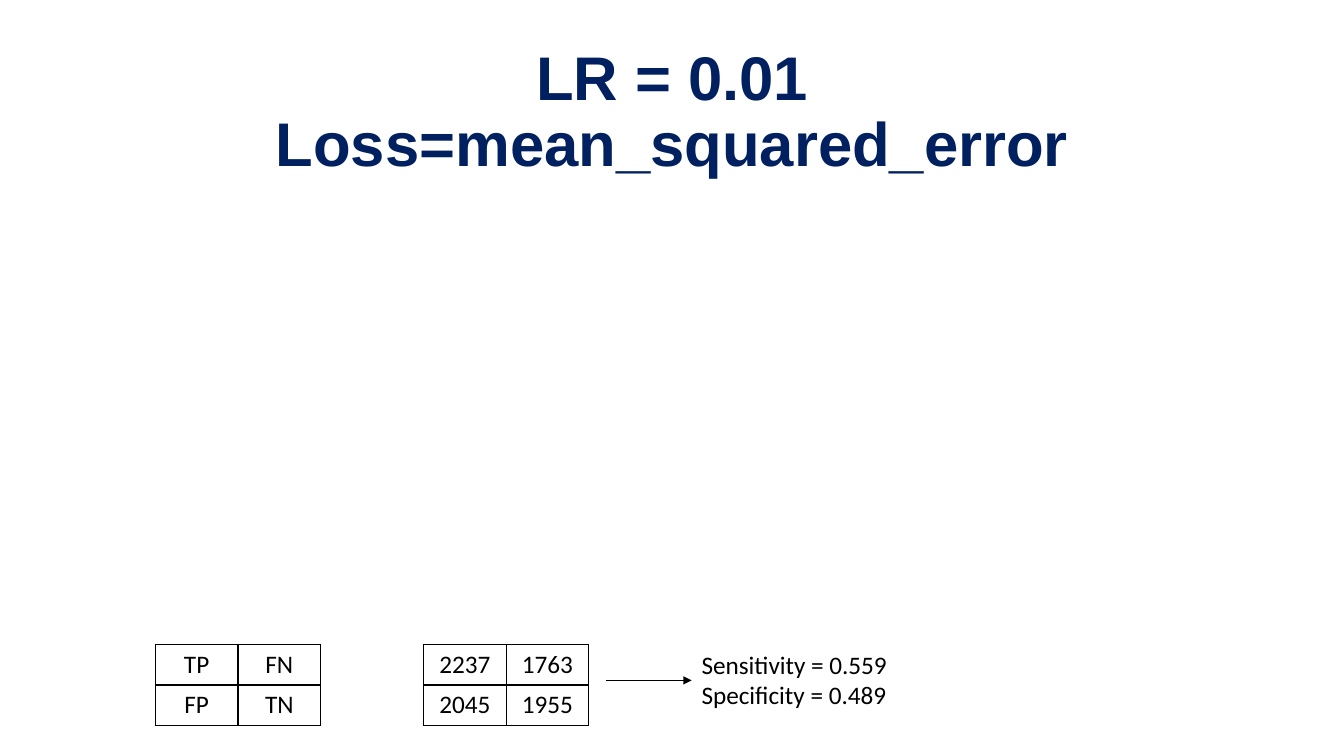
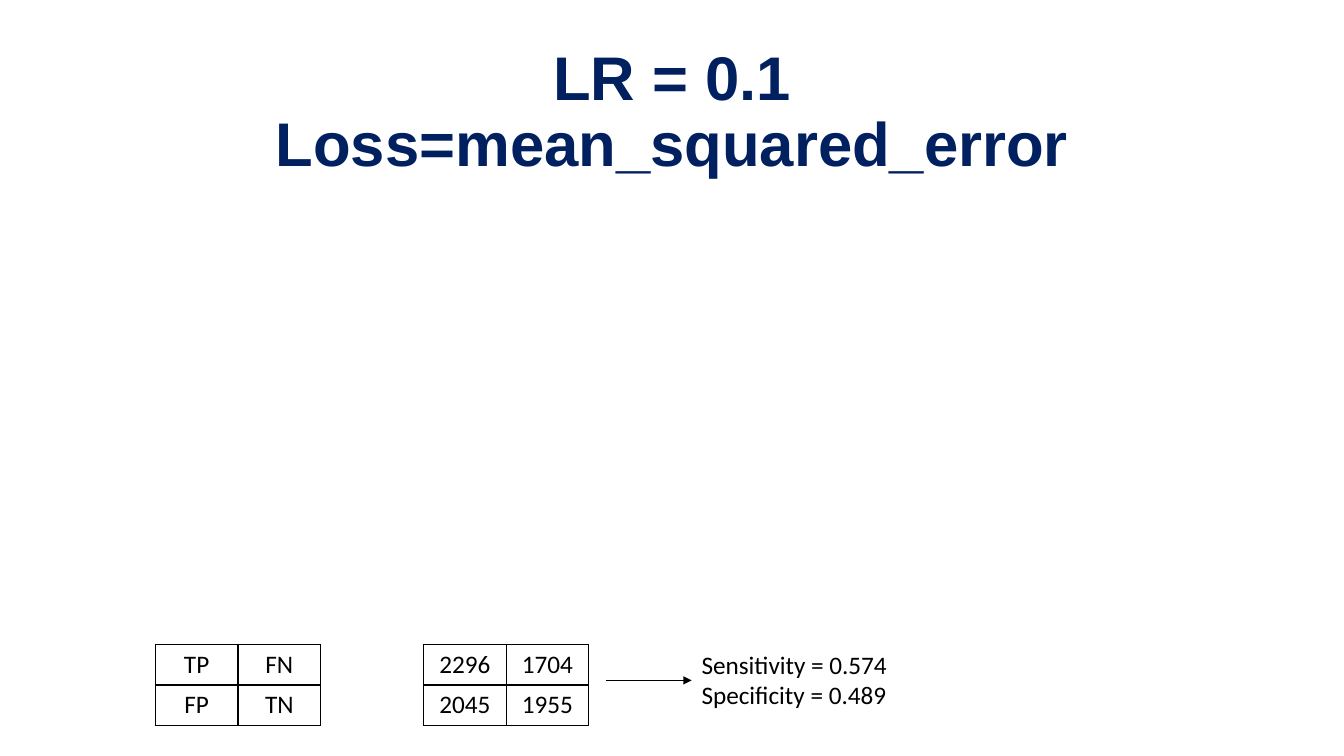
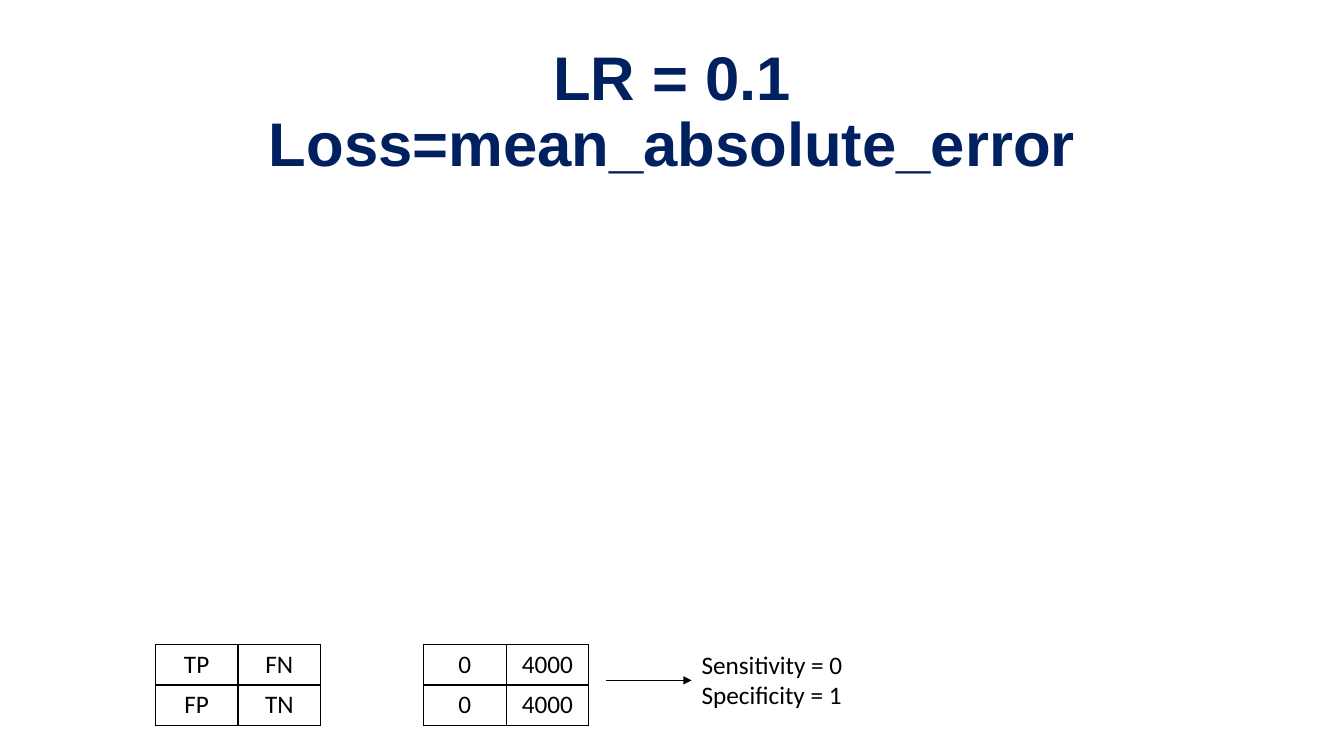
import pptx
import pptx.dml.color
import pptx.enum.shapes
import pptx.enum.text
import pptx.oxml
import pptx.oxml.ns
import pptx.util
import lxml.etree

Inches = pptx.util.Inches
Pt = pptx.util.Pt
NAVY = "002060"
BLACK = "000000"
WHITE = "FFFFFF"
TITLE_BOX = (0.92, 0.4, 11.5, 1.45)
RESULT_BOX = (1.54, 6.39, 7.38, 0.81)
CELL_WIDTH = 0.82
LEGEND = [["TP", "FN"], ["FP", "TN"]]
EXPERIMENTS = [
    ("0.01", "mean_squared_error", [[2237, 1763], [2045, 1955]], 2.06),
    ("0.1", "mean_squared_error", [[2296, 1704], [2045, 1955]], 2.06),
    ("0.1", "mean_absolute_error", [[0, 4000], [0, 4000]], 1.61),
]


def color(value):
    """Turn a hex string into a colour."""
    return pptx.dml.color.RGBColor.from_string(value)


def format_text(text_frame, font_name, size, value, alignment, bold=False):
    """Format every run of a text frame alike."""
    for paragraph in text_frame.paragraphs:
        paragraph.alignment = alignment
        for run in paragraph.runs:
            run.font.name = font_name
            run.font.size = Pt(size)
            run.font.bold = bold
            run.font.color.rgb = color(value)


def add_title(slide, text, box):
    """Fill and place the title placeholder."""
    title = slide.shapes.title
    title.left, title.top, title.width, title.height = map(Inches, box)
    text_frame = title.text_frame
    text_frame.text = text
    text_frame.word_wrap = True
    text_frame.auto_size = pptx.enum.text.MSO_AUTO_SIZE.NONE
    text_frame.vertical_anchor = pptx.enum.text.MSO_ANCHOR.MIDDLE
    format_text(text_frame, "Arial", 44, NAVY, pptx.enum.text.PP_ALIGN.CENTER, True)
    text_frame.paragraphs[0].line_spacing = 0.9


def set_borders(cell):
    """Draw a thin black border on all sides of a cell."""
    properties = cell._tc.get_or_add_tcPr()
    for index, side in enumerate(("lnL", "lnR", "lnT", "lnB")):
        border = pptx.oxml.parse_xml(
            f'<a:{side} {pptx.oxml.ns.nsdecls("a")} w="{Pt(1)}"><a:solidFill>'
            f'<a:srgbClr val="{BLACK}"/></a:solidFill></a:{side}>'
        )
        properties.insert(index, border)


def add_matrix(slide, values, left, top, height):
    """Add a bordered table with one cell for each value."""
    rows, columns = len(values), len(values[0])
    table = slide.shapes.add_table(
        rows, columns, Inches(left), Inches(top),
        Inches(columns * CELL_WIDTH), Inches(height),
    ).table
    table.first_row = False
    table.horz_banding = False
    for row, row_values in enumerate(values):
        for column, value in enumerate(row_values):
            cell = table.cell(row, column)
            cell.text = str(value)
            cell.fill.solid()
            cell.fill.fore_color.rgb = color(WHITE)
            set_borders(cell)
            format_text(cell.text_frame, "Calibri", 18, BLACK, pptx.enum.text.PP_ALIGN.CENTER)


def add_arrow(slide, left, top, width):
    """Add a thin horizontal arrow pointing right."""
    arrow = slide.shapes.add_connector(
        pptx.enum.shapes.MSO_CONNECTOR.STRAIGHT,
        Inches(left), Inches(top), Inches(left + width), Inches(top),
    )
    arrow.line.color.rgb = color(BLACK)
    arrow.line.width = Pt(0.5)
    line = arrow.line._get_or_add_ln()
    lxml.etree.SubElement(line, pptx.oxml.ns.qn("a:tailEnd"), type="triangle")
    lxml.etree.SubElement(arrow._element.spPr, pptx.oxml.ns.qn("a:effectLst"))


def add_rates(slide, counts, left, top, width):
    """State the sensitivity and specificity of the counts."""
    (true_positive, false_negative), (false_positive, true_negative) = counts
    sensitivity = true_positive / (true_positive + false_negative)
    specificity = true_negative / (false_positive + true_negative)
    text_box = slide.shapes.add_textbox(Inches(left), Inches(top), Inches(width), Inches(0.71))
    text_frame = text_box.text_frame
    text_frame.word_wrap = False
    text_frame.auto_size = pptx.enum.text.MSO_AUTO_SIZE.SHAPE_TO_FIT_TEXT
    text_frame.text = f"Sensitivity = {sensitivity:.3g}\nSpecificity = {specificity:.3g}"
    format_text(text_frame, "Calibri", 18, BLACK, pptx.enum.text.PP_ALIGN.LEFT)


def add_results(slide, counts, rates_width, box):
    """Place legend, counts, arrow and rates in one row."""
    left, top, width, height = box
    rates_left = left + 5.32
    add_rates(slide, counts, rates_left, top, rates_width)
    add_matrix(slide, counts, left + 2.66, top, height)
    add_arrow(slide, rates_left - 0.85, top + 0.36, 0.85)
    add_matrix(slide, LEGEND, left, top, height)


def main():
    """Build one slide for each experiment."""
    presentation = pptx.Presentation()
    presentation.slide_width = Inches(13.33)
    presentation.slide_height = Inches(7.5)
    for learning_rate, loss, counts, rates_width in EXPERIMENTS:
        slide = presentation.slides.add_slide(presentation.slide_layouts[5])
        add_title(slide, f"LR = {learning_rate}\vLoss={loss}", TITLE_BOX)
        add_results(slide, counts, rates_width, RESULT_BOX)
    presentation.save("out.pptx")


if __name__ == "__main__":
    main()
